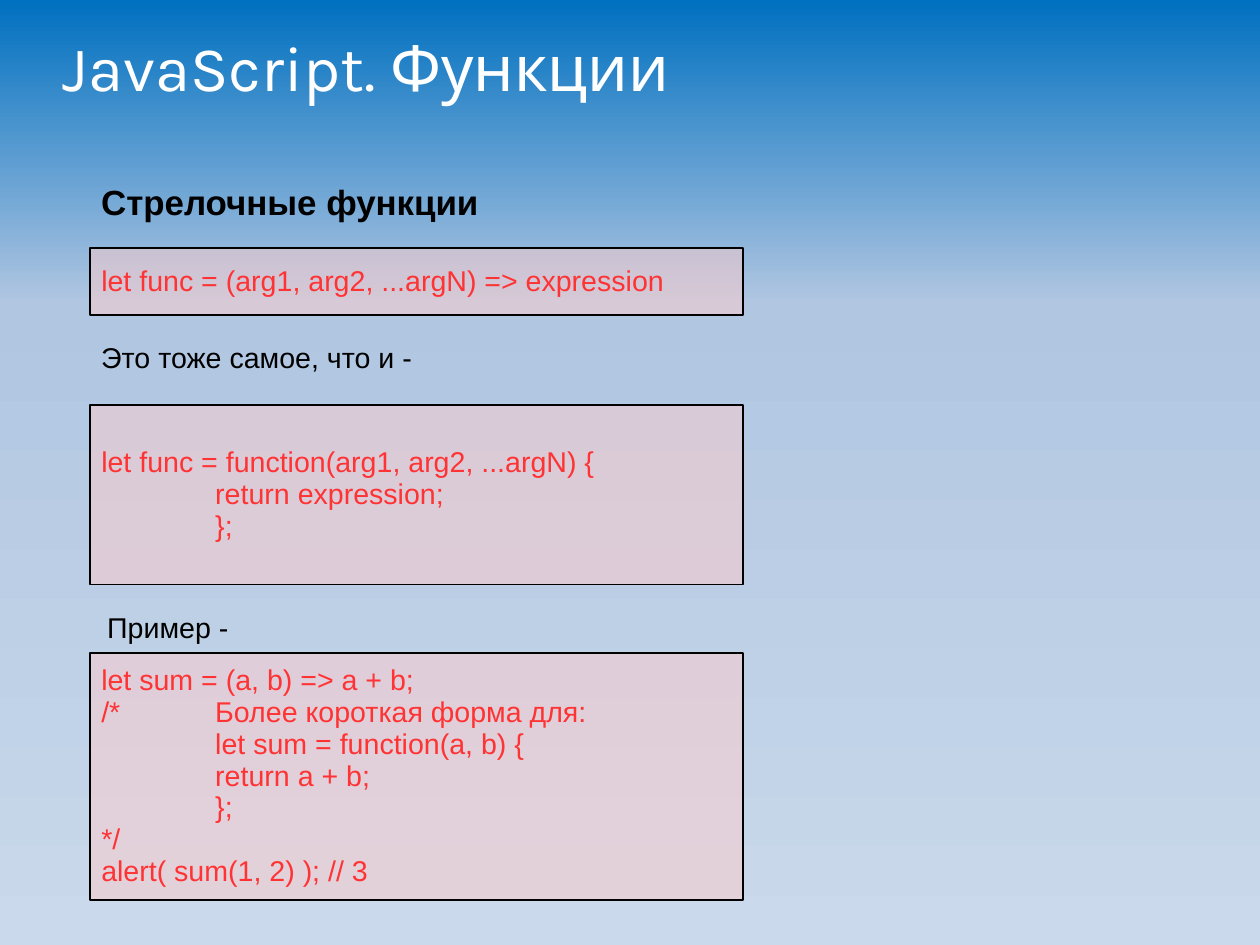
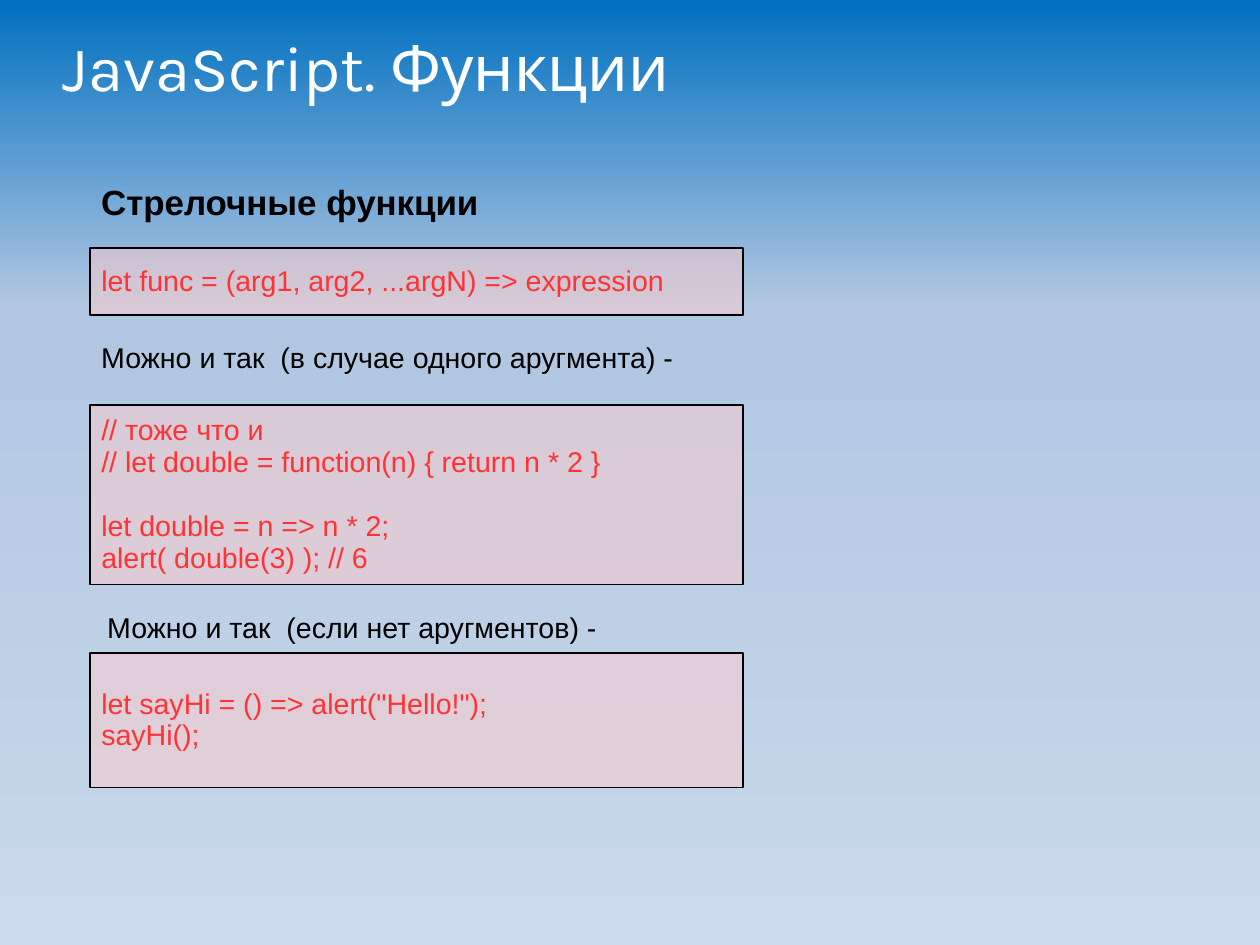
"""Build two slides on JavaScript arrow functions."""
from copy import deepcopy

from lxml.etree import SubElement
from pptx import Presentation
from pptx.dml.color import RGBColor
from pptx.enum.shapes import MSO_SHAPE as Shape
from pptx.enum.text import MSO_ANCHOR as Anchor, MSO_AUTO_SIZE as AutoSize, PP_ALIGN as Align
from pptx.oxml.ns import qn
from pptx.util import Pt

TITLE = "JavaScript. Функции"
HEADING = "Стрелочные функции"
SYNTAX = [["let func = (arg1, arg2, ...argN) => expression"]]
SLIDES = [
    {
        "captions": [("Это тоже самое, что и -", 341), ("Пример -", 152)],
        "codes": [
            ([["let func = function(arg1, arg2, ...argN) {", "\treturn expression;", "\t};"]], 180),
            ([[
                "let sum = (a, b) => a + b;",
                "/* \tБолее короткая форма для:",
                "\tlet sum = function(a, b) {",
                "\treturn a + b;",
                "\t};",
                "*/",
                "alert( sum(1, 2) ); // 3",
            ]], 247),
        ],
    },
    {
        "captions": [
            ("Можно и так  (в случае одного аругмента) -", 602),
            ("Можно и так  (если нет аругментов) -", 520),
        ],
        "codes": [
            ([
                ["// тоже что и", "// let double = function(n) { return n * 2 }"],
                ["let double = n => n * 2;", "alert( double(3) ); // 6"],
            ], 180),
            ([['let sayHi = () => alert("Hello!");', "sayHi();"]], 135),
        ],
    },
]

COLORS = {"title": "FFFFFF", "text": "000000", "code": "FF3333", "box": "FFCCCC", "line": "000000"}
GRADIENT = [(0, "0070C0"), (0.32, "B0C6E1"), (1, "CAD9EB")]
PX = 8000
TAB = 114
LEFT, BOX_WIDTH = 90, 653
CAPTION_PLACES = [(90, 337), (96, 607)]
CODE_TOPS = [405, 653]


def px(*lengths):
    return [length * PX for length in lengths]


def color(name):
    return RGBColor.from_string(COLORS[name])


def write(frame, groups, size=18, font="Arial", ink="text", bold=False, anchor=Anchor.TOP):
    frame.word_wrap = True
    frame.auto_size = AutoSize.NONE
    frame.vertical_anchor = anchor
    lines = [(text, group > 0 and row == 0)
             for group, texts in enumerate(groups) for row, text in enumerate(texts)]
    for index, (text, starts_group) in enumerate(lines):
        paragraph = frame.add_paragraph() if index else frame.paragraphs[0]
        paragraph.alignment = Align.LEFT
        paragraph.line_spacing = 0.93
        if starts_group:
            paragraph.space_before = Pt(20)
        if "\t" in text:
            tabs = SubElement(paragraph._p.get_or_add_pPr(), qn("a:tabLst"))
            SubElement(tabs, qn("a:tab"), pos=str(TAB * PX), algn="l")
        run = paragraph.add_run()
        run.text = text
        run.font.name = font
        run.font.size = Pt(size)
        run.font.bold = bold
        run.font.color.rgb = color(ink)


def add_label(slide, text, left, top, width, height, **style):
    box = slide.shapes.add_textbox(*px(left, top, width, height))
    write(box.text_frame, [[text]], **style)


def add_code(slide, groups, top, height):
    box = slide.shapes.add_shape(Shape.RECTANGLE, *px(LEFT, top, BOX_WIDTH, height))
    box.shadow.inherit = False
    box.fill.solid()
    box.fill.fore_color.rgb = color("box")
    SubElement(box.fill._xPr.find(".//" + qn("a:srgbClr")), qn("a:alpha"), val="50000")
    box.line.color.rgb = color("line")
    box.line.width = 0
    write(box.text_frame, groups, ink="code", anchor=Anchor.MIDDLE)


def set_background(master):
    fill = master.background.fill
    fill.gradient()
    fill.gradient_angle = 270
    stops = master.element.find(".//" + qn("a:gsLst"))
    stops.append(deepcopy(stops[0]))
    for stop, (position, value) in zip(fill.gradient_stops, GRADIENT):
        stop.position = position
        stop.color.rgb = RGBColor.from_string(value)


def add_slide(presentation, content):
    slide = presentation.slides.add_slide(presentation.slide_layouts[5])
    title = slide.shapes.title
    title.left, title.top, title.width, title.height = px(63, -3, 1134, 147)
    frame = title.text_frame
    frame.margin_left = frame.margin_top = frame.margin_right = frame.margin_bottom = 0
    write(frame, [[TITLE]], size=40, font="Karla", ink="title", anchor=Anchor.MIDDLE)
    add_label(slide, HEADING, LEFT, 179, 1098, 630, size=22, bold=True)
    add_code(slide, SYNTAX, 248, 67)
    for (text, width), (left, top) in zip(content["captions"], CAPTION_PLACES):
        add_label(slide, text, left, top, width, 46)
    for (groups, height), top in zip(content["codes"], CODE_TOPS):
        add_code(slide, groups, top, height)


def main():
    presentation = Presentation()
    presentation.slide_width, presentation.slide_height = px(1260, 945)
    set_background(presentation.slide_master)
    for content in SLIDES:
        add_slide(presentation, content)
    presentation.save("out.pptx")


if __name__ == "__main__":
    main()
